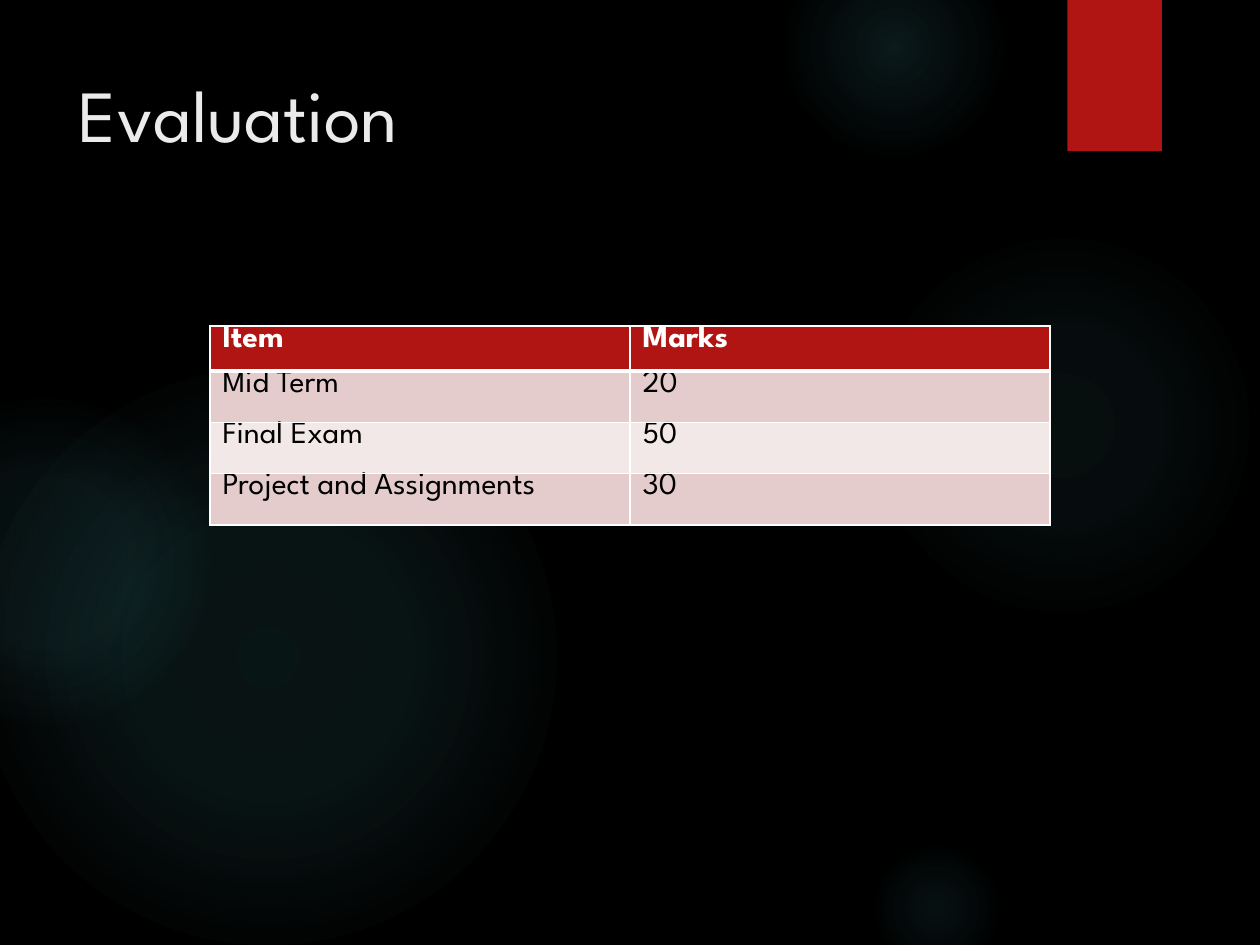
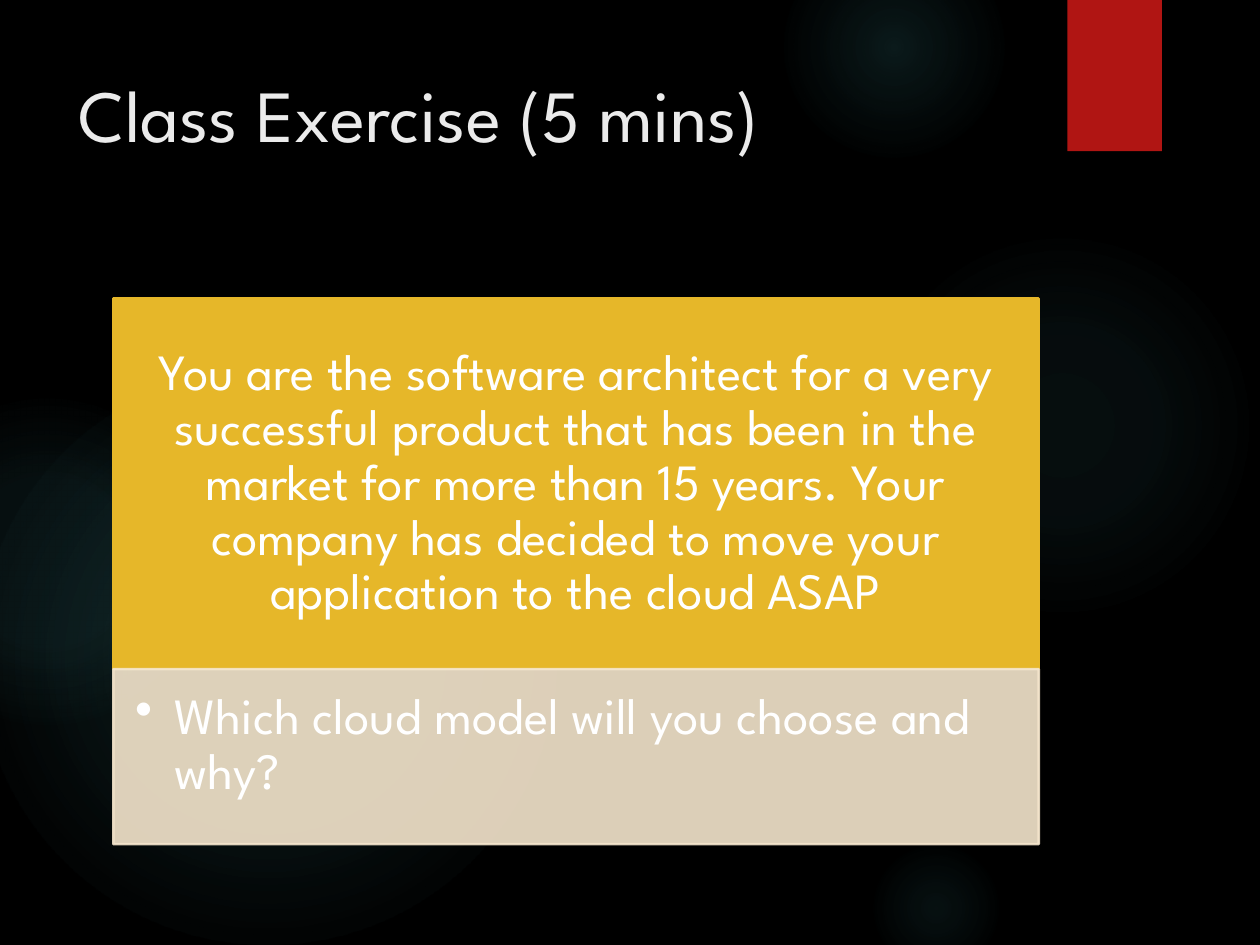
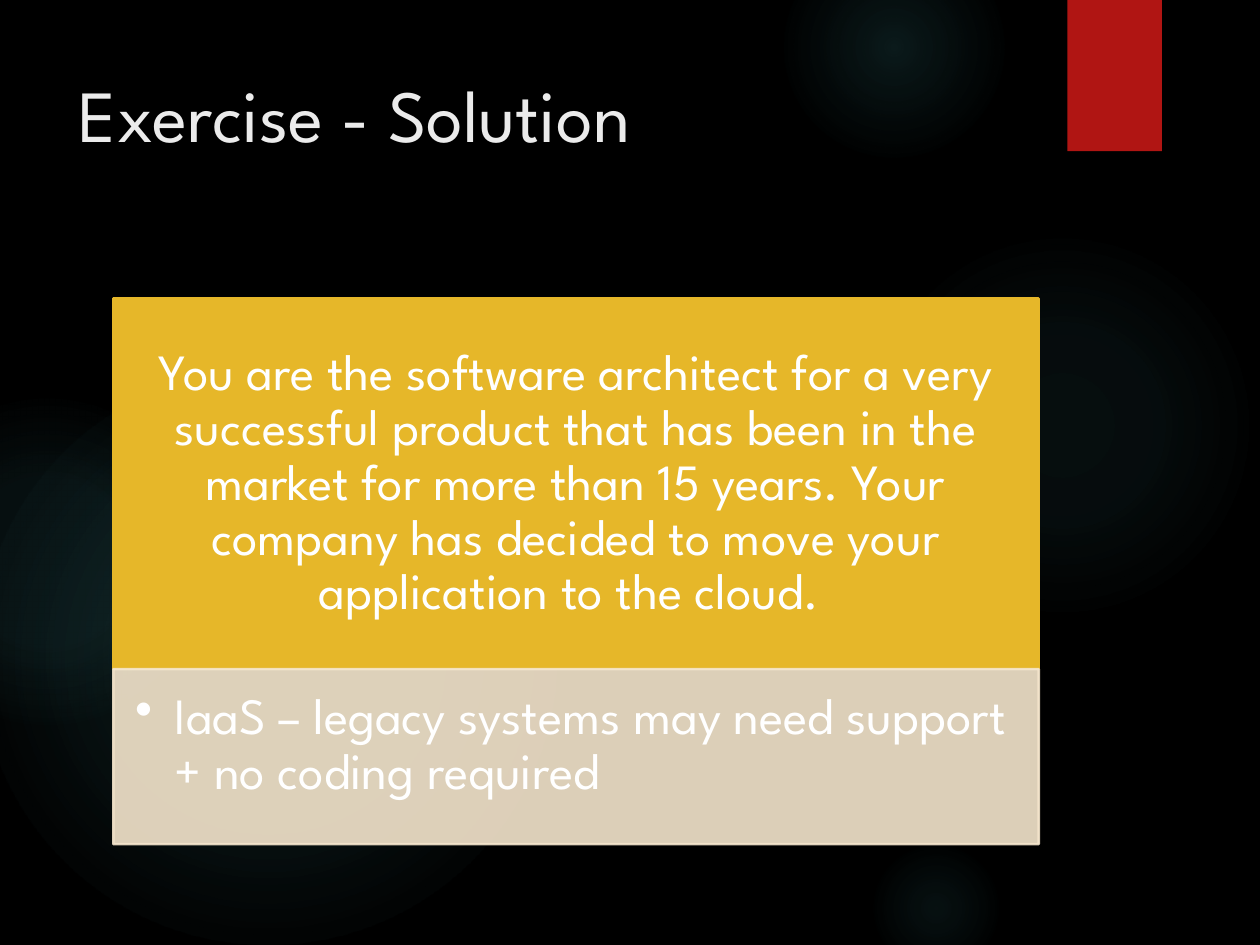
"""Builds three dark course slides: evaluation marks, a class exercise and its solution."""
from lxml import etree
from pptx import Presentation
from pptx.dml.color import RGBColor
from pptx.enum.shapes import MSO_SHAPE
from pptx.enum.text import MSO_ANCHOR, PP_ALIGN
from pptx.oxml import parse_xml
from pptx.oxml.ns import nsdecls, qn
from pptx.util import Pt

RECT, OVAL = MSO_SHAPE.RECTANGLE, MSO_SHAPE.OVAL
TOP, MIDDLE = MSO_ANCHOR.TOP, MSO_ANCHOR.MIDDLE
LEFT, CENTER = PP_ALIGN.LEFT, PP_ALIGN.CENTER

BLACK = RGBColor(0x00, 0x00, 0x00)
WHITE = RGBColor(0xFF, 0xFF, 0xFF)
PALE = RGBColor(0xEB, 0xEB, 0xEB)
RED = RGBColor(0xB0, 0x15, 0x13)
GOLD = RGBColor(0xE6, 0xB7, 0x29)
CREAM = RGBColor(0xF5, 0xE6, 0xCD)
ROSE = RGBColor(0xE4, 0xCC, 0xCC)
BLUSH = RGBColor(0xF2, 0xE8, 0xE7)
TEAL = RGBColor(0x50, 0xB9, 0xC1)
FONT = "League Spartan"

GLOWS = [
    (496, 132, 222, [(0, 7), (36, 6), (69, 0)]),
    (448, -36, 126, [(0, 14), (36, 7), (73, 0)]),
    (496, 480, 78, [(0, 9), (36, 5), (66, 0)]),
    (-12, 210, 330, [(0, 11), (36, 10), (75, 0)]),
    (-66, 228, 186, [(0, 8), (36, 8), (72, 0)]),
]
MARKS = [
    ("Item", "Marks"),
    ("Mid Term", "20"),
    ("Final Exam", "50"),
    ("Project and Assignments", "30"),
]
CASE = (
    "You are the software architect for a very successful product that has been "
    "in the market for more than 15 years. Your company has decided to move your "
    "application to the cloud"
)
TASKS = [
    ("Class Exercise (5 mins)", CASE + " ASAP", "Which cloud model will you choose and why?"),
    ("Exercise - Solution", CASE + ". ", "IaaS – legacy systems may need support + no coding required"),
]
CARDS = [
    (170.6, 211.8, GOLD, 100, MIDDLE, CENTER, (16.5, 9.4, 16.5, 9.4)),
    (382.4, 100, CREAM, 90, TOP, LEFT, (12.4, 12.4, 16.5, 18)),
]


def write(frame, text, size, color, bold=False):
    """Put one styled paragraph in a text frame and return it."""
    frame.text = text
    frame.word_wrap = True
    par = frame.paragraphs[0]
    font = par.runs[0].font
    font.name, font.size, font.bold = FONT, Pt(size), bold
    font.color.rgb = color
    return par


def start(deck, title):
    """Add a slide with the glows, the red tab and its title."""
    slide = deck.slides.add_slide(deck.slide_layouts[6])
    for x, y, side, stops in GLOWS:
        glow = slide.shapes.add_shape(OVAL, Pt(x), Pt(y), Pt(side), Pt(side))
        glow.shadow.inherit = False
        glow.line.fill.background()
        glow.fill.background()
        marks = "".join(
            f'<a:gs pos="{pos * 1000}"><a:srgbClr val="{TEAL}">'
            f'<a:alpha val="{alpha * 1000}"/></a:srgbClr></a:gs>'
            for pos, alpha in stops
        )
        grad = parse_xml(
            f'<a:gradFill {nsdecls("a")} rotWithShape="1"><a:gsLst>{marks}</a:gsLst>'
            '<a:path path="circle"><a:fillToRect l="50000" t="50000" r="50000" b="50000"/>'
            "</a:path></a:gradFill>"
        )
        props = glow._element.spPr
        props.replace(props.find(qn("a:noFill")), grad)
    tab = slide.shapes.add_shape(RECT, Pt(610), 0, Pt(54), Pt(86.4))
    tab.shadow.inherit = False
    tab.fill.solid()
    tab.fill.fore_color.rgb = RED
    tab.line.fill.background()
    head = slide.shapes.add_textbox(Pt(38), Pt(36), Pt(556), Pt(110))
    write(head.text_frame, title, 42, PALE)
    return slide


deck = Presentation()
deck.slide_width, deck.slide_height = Pt(720), Pt(540)
back = deck.slide_master.background.fill
back.solid()
back.fore_color.rgb = BLACK

slide = start(deck, "Evaluation")
grid = slide.shapes.add_table(len(MARKS), 2, Pt(120), Pt(186.4), Pt(480), Pt(113.6)).table
for col in grid.columns:
    col.width = Pt(240)
for r, texts in enumerate(MARKS):
    grid.rows[r].height = Pt(29.3 if r else 25.7)
    for c, text in enumerate(texts):
        cell = grid.cell(r, c)
        cell.margin_top = cell.margin_bottom = 0
        par = write(cell.text_frame, text, 18, BLACK if r else WHITE, r == 0)
        par.line_spacing = 0.9
        thick = {(0, "B"), (1, "T")}
        for edge in "LRTB":
            wide = Pt(3 if (r, edge) in thick else 1)
            cell._tc.get_or_add_tcPr().append(parse_xml(
                f'<a:ln{edge} {nsdecls("a")} w="{wide}"><a:solidFill>'
                f'<a:srgbClr val="{WHITE}"/></a:solidFill></a:ln{edge}>'
            ))
        cell.fill.solid()
        cell.fill.fore_color.rgb = RED if r == 0 else ROSE if r % 2 else BLUSH

for title, case, point in TASKS:
    slide = start(deck, title)
    for text, (y, high, color, alpha, anchor, align, pads) in zip((case, point), CARDS):
        card = slide.shapes.add_shape(RECT, Pt(64.8), Pt(y), Pt(528.8), Pt(high))
        card.shadow.inherit = False
        card.fill.solid()
        card.fill.fore_color.rgb = card.line.color.rgb = color
        card.line.width = Pt(1.5)
        if alpha < 100:
            for tint in card._element.spPr.iter(qn("a:srgbClr")):
                etree.SubElement(tint, qn("a:alpha"), val=str(alpha * 1000))
        frame = card.text_frame
        frame.margin_left, frame.margin_top, frame.margin_right, frame.margin_bottom = map(Pt, pads)
        frame.vertical_anchor = anchor
        par = write(frame, text, 29, WHITE)
        par.alignment, par.line_spacing = align, 0.9
    props = par._p.get_or_add_pPr()
    props.set("marL", str(Pt(22.5)))
    props.set("indent", str(Pt(-22.5)))
    etree.SubElement(props, qn("a:buChar"), char="•")

deck.save("out.pptx")
